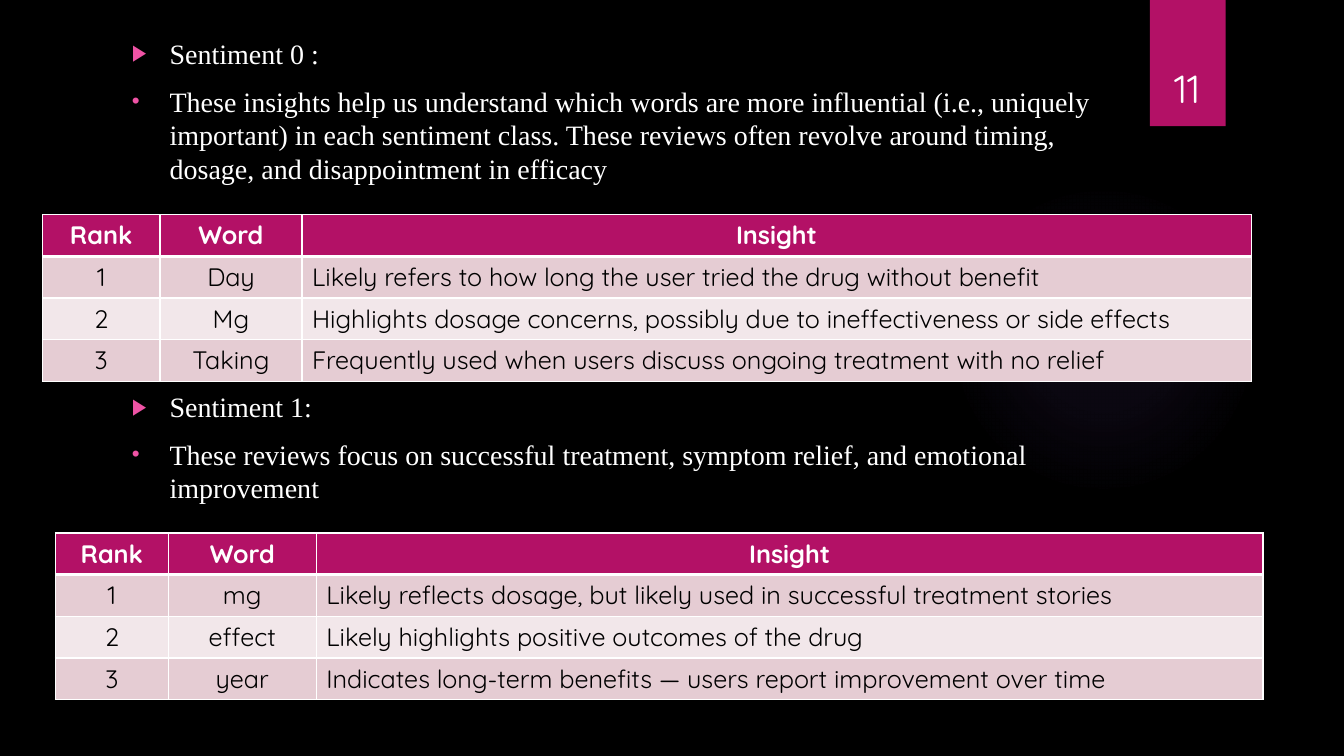
from dataclasses import dataclass

from lxml import etree
from pptx import Presentation
from pptx.dml.color import RGBColor
from pptx.enum.shapes import MSO_SHAPE
from pptx.enum.text import MSO_ANCHOR, MSO_AUTO_SIZE, PP_ALIGN
from pptx.oxml.ns import qn
from pptx.util import Cm, Pt

RECTANGLE, ELLIPSE = MSO_SHAPE.RECTANGLE, MSO_SHAPE.OVAL
CENTER, LEFT = PP_ALIGN.CENTER, PP_ALIGN.LEFT
TOP, BOTTOM = MSO_ANCHOR.TOP, MSO_ANCHOR.BOTTOM
NO_AUTOFIT = MSO_AUTO_SIZE.NONE

SERIF, SANS = "Times New Roman", "Quicksand"
BLACK, WHITE = "000000", "FFFFFF"
MAGENTA, PINK, VIOLET = "B31166", "EF53A5", "9B6BF2"
BAND_COLORS = ("E5CCD3", "F2E7EA")
ROW_HEIGHT = 1.05
HEADER = ("Rank", "Word", "Insight")


@dataclass
class Sentiment:
    heading: str
    summary: str
    text_top: float
    text_height: float
    table_left: float
    table_top: float
    column_widths: tuple[float, ...]
    rows: tuple[tuple[str, str], ...]


SENTIMENTS = (
    Sentiment(
        "Sentiment 0 :",
        "These insights help us understand which words are more influential "
        "(i.e., uniquely important) in each sentiment class. These reviews often "
        "revolve around timing, dosage, and disappointment in efficacy",
        0.79, 4.5, 1.07, 5.41, (2.96, 3.58, 23.92),
        (
            ("Day", "Likely refers to how long the user tried the drug without benefit"),
            ("Mg", "Highlights dosage concerns, possibly due to ineffectiveness or side effects"),
            ("Taking", "Frequently used when users discuss ongoing treatment with no relief"),
        ),
    ),
    Sentiment(
        "Sentiment 1:",
        "These reviews focus on successful treatment, symptom relief, "
        "and emotional improvement",
        9.69, 3.6, 1.4, 13.43, (2.84, 3.73, 23.86),
        (
            ("mg", "Likely reflects dosage, but likely used in successful treatment stories"),
            ("effect", "Likely highlights positive outcomes of the drug"),
            ("year", "Indicates long-term benefits — users report improvement over time"),
        ),
    ),
)


def color(value: str) -> RGBColor:
    return RGBColor.from_string(value)


def child(parent, tag: str, **attributes):
    """Append a drawing element and return it."""
    return etree.SubElement(
        parent, qn(tag), {name: str(value) for name, value in attributes.items()}
    )


def add_span(para, text: str, font: str, size: float, ink: str, bold: bool = False) -> None:
    span = para.add_run()
    span.text = text
    span.font.name, span.font.size, span.font.bold = font, Pt(size), bold
    span.font.color.rgb = color(ink)


def add_backdrop_shape(page, kind, left: float, top: float, width: float, height: float):
    """Add a plain shape without outline, behind the text."""
    shape = page.shapes.add_shape(kind, Cm(left), Cm(top), Cm(width), Cm(height))
    shape.shadow.inherit = False
    shape.line.fill.background()
    page.shapes.element.remove(shape.element)
    page.shapes.element.insert(2, shape.element)
    return shape


def add_glow(page) -> None:
    glow = add_backdrop_shape(page, ELLIPSE, 23.9, 4.65, 7.82, 7.82)
    gradient = etree.Element(qn("a:gradFill"))
    stops = child(gradient, "a:gsLst")
    for position, opacity in ((0, 7), (36, 6), (69, 0)):
        stop = child(stops, "a:gs", pos=position * 1000)
        tint = child(stop, "a:srgbClr", val=VIOLET)
        child(tint, "a:alpha", val=opacity * 1000)
    circle = child(gradient, "a:path", path="circle")
    child(circle, "a:fillToRect", l=50000, t=50000, r=50000, b=50000)
    glow.element.spPr.insert(2, gradient)


def add_page_number(page) -> None:
    tag = add_backdrop_shape(page, RECTANGLE, 28.98, 0, 1.91, 3.18)
    tag.fill.solid()
    tag.fill.fore_color.rgb = color(MAGENTA)
    box = page.shapes.add_textbox(Cm(28.75), Cm(0.81), Cm(2.34), Cm(2.13))
    box.text_frame.word_wrap = True
    box.text_frame.vertical_anchor = BOTTOM
    para = box.text_frame.paragraphs[0]
    para.alignment = CENTER
    add_span(para, "11", SANS, 28, WHITE)


def set_bullet(para, symbol: str) -> None:
    properties = para._p.get_or_add_pPr()
    properties.set("marL", str(Cm(0.95)))
    properties.set("indent", str(-Cm(0.95)))
    child(child(properties, "a:buClr"), "a:srgbClr", val=PINK)
    child(properties, "a:buSzPct", val=80000)
    child(properties, "a:buFont", typeface="Arial")
    child(properties, "a:buChar", char=symbol)


def fill_body(box, sentiment: Sentiment) -> None:
    box.left, box.top = Cm(3.07), Cm(sentiment.text_top)
    box.width, box.height = Cm(24.84), Cm(sentiment.text_height)
    frame = box.text_frame
    frame.word_wrap, frame.auto_size, frame.vertical_anchor = True, NO_AUTOFIT, TOP
    lines = (("▶", sentiment.heading, 0), ("•", sentiment.summary, 10))
    for index, (symbol, text, space) in enumerate(lines):
        para = frame.add_paragraph() if index else frame.paragraphs[0]
        para.space_before = Pt(space)
        set_bullet(para, symbol)
        add_span(para, text, SERIF, 20, WHITE)


def set_borders(cell, bottom_width: float) -> None:
    properties = cell._tc.get_or_add_tcPr()
    for side, width in (("L", 1), ("R", 1), ("T", 1), ("B", bottom_width)):
        line = child(properties, f"a:ln{side}", w=Pt(width))
        child(child(line, "a:solidFill"), "a:srgbClr", val=WHITE)


def add_insight_table(page, sentiment: Sentiment) -> None:
    rows = [HEADER] + [(str(rank), *row) for rank, row in enumerate(sentiment.rows, 1)]
    table = page.shapes.add_table(
        len(rows), len(HEADER), Cm(sentiment.table_left), Cm(sentiment.table_top),
        Cm(sum(sentiment.column_widths)), Cm(ROW_HEIGHT * len(rows)),
    ).table
    for column, width in zip(table.columns, sentiment.column_widths):
        column.width = Cm(width)
    for row_index, row in enumerate(rows):
        is_header = row_index == 0
        for column_index, text in enumerate(row):
            cell = table.cell(row_index, column_index)
            set_borders(cell, 3 if is_header else 1)
            cell.fill.solid()
            cell.fill.fore_color.rgb = color(
                MAGENTA if is_header else BAND_COLORS[(row_index - 1) % 2]
            )
            para = cell.text_frame.paragraphs[0]
            para.alignment = CENTER if is_header or column_index < 2 else LEFT
            add_span(para, text, SANS, 18, WHITE if is_header else BLACK, is_header)


def main() -> None:
    deck = Presentation()
    deck.slide_width, deck.slide_height = Cm(33.87), Cm(19.05)
    page = deck.slides.add_slide(deck.slide_layouts.get_by_name("Two Content"))
    page.background.fill.solid()
    page.background.fill.fore_color.rgb = color(BLACK)
    title, *bodies = page.placeholders
    title.element.getparent().remove(title.element)
    add_page_number(page)
    add_glow(page)
    for body, sentiment in zip(bodies, SENTIMENTS):
        fill_body(body, sentiment)
        add_insight_table(page, sentiment)
    deck.save("out.pptx")


if __name__ == "__main__":
    main()
